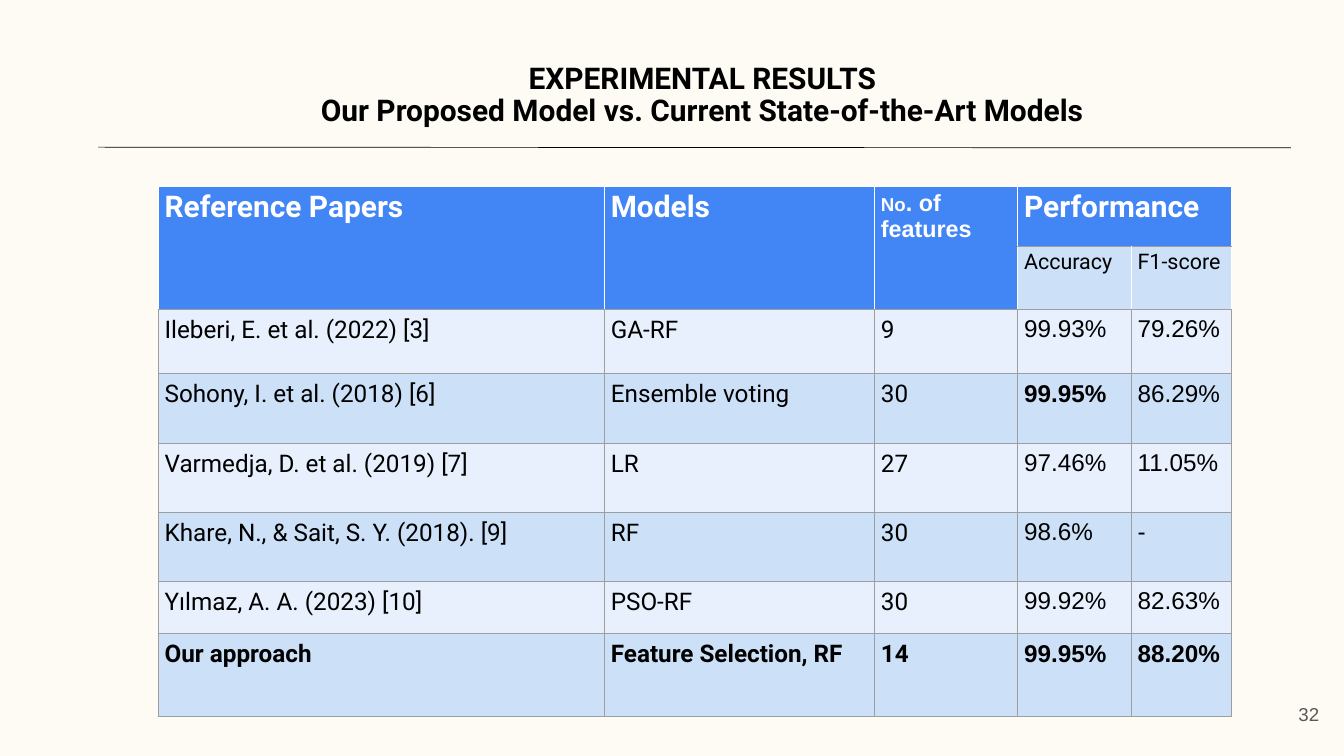
from lxml import etree
from pptx import Presentation
from pptx import util as u
from pptx.dml.color import RGBColor
from pptx.enum import shapes, text
from pptx.oxml import ns

WIDTH, HEIGHT = u.Inches(20), u.Inches(11.25)

CREAM = RGBColor(0xFE, 0xFB, 0xF5)
BLACK = RGBColor(0x00, 0x00, 0x00)
WHITE = RGBColor(0xFF, 0xFF, 0xFF)
BLUE = RGBColor(0x42, 0x85, 0xF4)
MID_BLUE = RGBColor(0xCC, 0xE0, 0xF8)
PALE_BLUE = RGBColor(0xE7, 0xF0, 0xFC)
GREY = RGBColor(0x9E, 0x9E, 0x9E)
DARK_GREY = RGBColor(0x59, 0x59, 0x59)

COLUMNS = [6.64, 4.02, 2.13, 1.69, 1.5]
ROWS = [0.88, 0.94, 0.96, 1.03, 1.03, 1.03, 0.78, 1.23]
RESULTS = [
    ("Ileberi, E. et al. (2022) [3]", "GA-RF", "9", "99.93%", "79.26%"),
    ("Sohony, I. et al. (2018) [6]", "Ensemble voting", "30", "99.95%", "86.29%"),
    ("Varmedja, D. et al. (2019) [7]", "LR", "27", "97.46%", "11.05%"),
    ("Khare, N., & Sait, S. Y. (2018). [9]", "RF", "30", "98.6%", "-"),
    ("Yılmaz, A. A. (2023) [10]", "PSO-RF", "30", "99.92%", "82.63%"),
    ("Our approach", "Feature Selection, RF", "14", "99.95%", "88.20%"),
]
BEST_ACCURACY = "99.95%"


def add_text(p, content, size=26, font="Roboto", color=BLACK, bold=False):
    r = p.add_run()
    r.text = content
    r.font.size, r.font.name, r.font.bold = u.Pt(size), font, bold
    r.font.color.rgb = color


def set_margins(box, side, top):
    """Set equal side margins and equal top and bottom margins, in inches."""
    box.margin_left = box.margin_right = u.Inches(side)
    box.margin_top = box.margin_bottom = u.Inches(top)


def set_borders(cell, left, right, top, bottom):
    tcPr = cell._tc.get_or_add_tcPr()
    for side, color in zip("LRTB", (left, right, top, bottom)):
        width = u.Pt(1 if color == WHITE else 0.75)
        ln = etree.SubElement(tcPr, ns.qn(f"a:ln{side}"), w=str(int(width)))
        fill = etree.SubElement(ln, ns.qn("a:solidFill"))
        etree.SubElement(fill, ns.qn("a:srgbClr"), val=str(color))


def add_title(s):
    sp = s.shapes.title
    sp.left, sp.top = u.Inches(1.55), u.Inches(0.87)
    sp.width, sp.height = u.Inches(17.42), u.Inches(1.73)
    tf = sp.text_frame
    tf.auto_size = text.MSO_AUTO_SIZE.NONE
    tf.vertical_anchor = text.MSO_ANCHOR.TOP
    set_margins(tf, 0, 0)
    tf.margin_top = u.Inches(0.08)
    first, second = tf.paragraphs[0], tf.add_paragraph()
    first._p.get_or_add_pPr().set("marL", str(u.Inches(0.39)))
    for p, line in (
        (first, "EXPERIMENTAL RESULTS"),
        (second, "Our Proposed Model vs. Current State-of-the-Art Models"),
    ):
        p.alignment = text.PP_ALIGN.CENTER
        p.line_spacing = 0.9
        p.space_before = u.Pt(0)
        add_text(p, line, size=32, bold=True)


def add_rule(s):
    line = s.shapes.add_connector(
        shapes.MSO_CONNECTOR.STRAIGHT,
        u.Inches(1.46), u.Inches(2.19), u.Inches(19.21), u.Inches(2.2))
    line.line.color.rgb = BLACK
    line.line.width = u.Pt(0.75)
    etree.SubElement(line._element.spPr, ns.qn("a:effectLst"))


def style_cells(table):
    for i in range(len(ROWS)):
        for j in range(len(COLUMNS)):
            cell = table.cell(i, j)
            set_margins(cell, 0.1, 0.05 if i < 2 else 0.1)
            if i < 2:
                set_borders(cell, WHITE, WHITE, GREY if i else WHITE, GREY)
            else:
                set_borders(cell, GREY, GREY, GREY, GREY)
            cell.fill.solid()
            if i == 0 or (i == 1 and j < 3):
                cell.fill.fore_color.rgb = BLUE
            else:
                cell.fill.fore_color.rgb = MID_BLUE if i % 2 else PALE_BLUE


def fill_header(table):
    for j in range(3):
        table.cell(0, j).merge(table.cell(1, j))
    table.cell(0, 3).merge(table.cell(0, 4))
    for j, label in ((0, "Reference Papers"), (1, "Models"), (3, "Performance")):
        add_text(table.cell(0, j).text_frame.paragraphs[0], label,
                 size=32, color=WHITE, bold=True)
    p = table.cell(0, 2).text_frame.paragraphs[0]
    for label, size in (("No", 20), (". of features", 25)):
        add_text(p, label, size=size, font="Arial", color=WHITE, bold=True)
    for j, label in ((3, "Accuracy"), (4, "F1-score")):
        add_text(table.cell(1, j).text_frame.paragraphs[0], label, size=23)


def add_results_table(s):
    frame = s.shapes.add_table(
        len(ROWS), len(COLUMNS), u.Inches(2.35), u.Inches(2.78),
        u.Inches(sum(COLUMNS)), u.Inches(sum(ROWS)))
    table = frame.table
    for column, width in zip(table.columns, COLUMNS):
        column.width = u.Inches(width)
    for row, height in zip(table.rows, ROWS):
        row.height = u.Inches(height)
    style_cells(table)
    fill_header(table)
    for i, result in enumerate(RESULTS, start=2):
        for j, value in enumerate(result):
            add_text(table.cell(i, j).text_frame.paragraphs[0], value,
                     font="Arial" if j >= 3 else "Roboto",
                     bold=result is RESULTS[-1] or value == BEST_ACCURACY)


def add_page_number(s, number):
    box = s.shapes.add_textbox(
        u.Inches(18.53), u.Inches(10.2), u.Inches(1.2), u.Inches(0.86))
    tf = box.text_frame
    tf.word_wrap = True
    tf.vertical_anchor = text.MSO_ANCHOR.MIDDLE
    set_margins(tf, 0.1, 0.05)
    p = tf.paragraphs[0]
    p.alignment = text.PP_ALIGN.RIGHT
    add_text(p, number, size=20, font="Arial", color=DARK_GREY)


def main():
    prs = Presentation()
    prs.slide_width, prs.slide_height = WIDTH, HEIGHT
    s = prs.slides.add_slide(prs.slide_layouts.get_by_name("Title Only"))
    s.background.fill.solid()
    s.background.fill.fore_color.rgb = CREAM
    add_title(s)
    add_results_table(s)
    add_page_number(s, "32")
    add_rule(s)
    prs.save("out.pptx")


if __name__ == "__main__":
    main()
